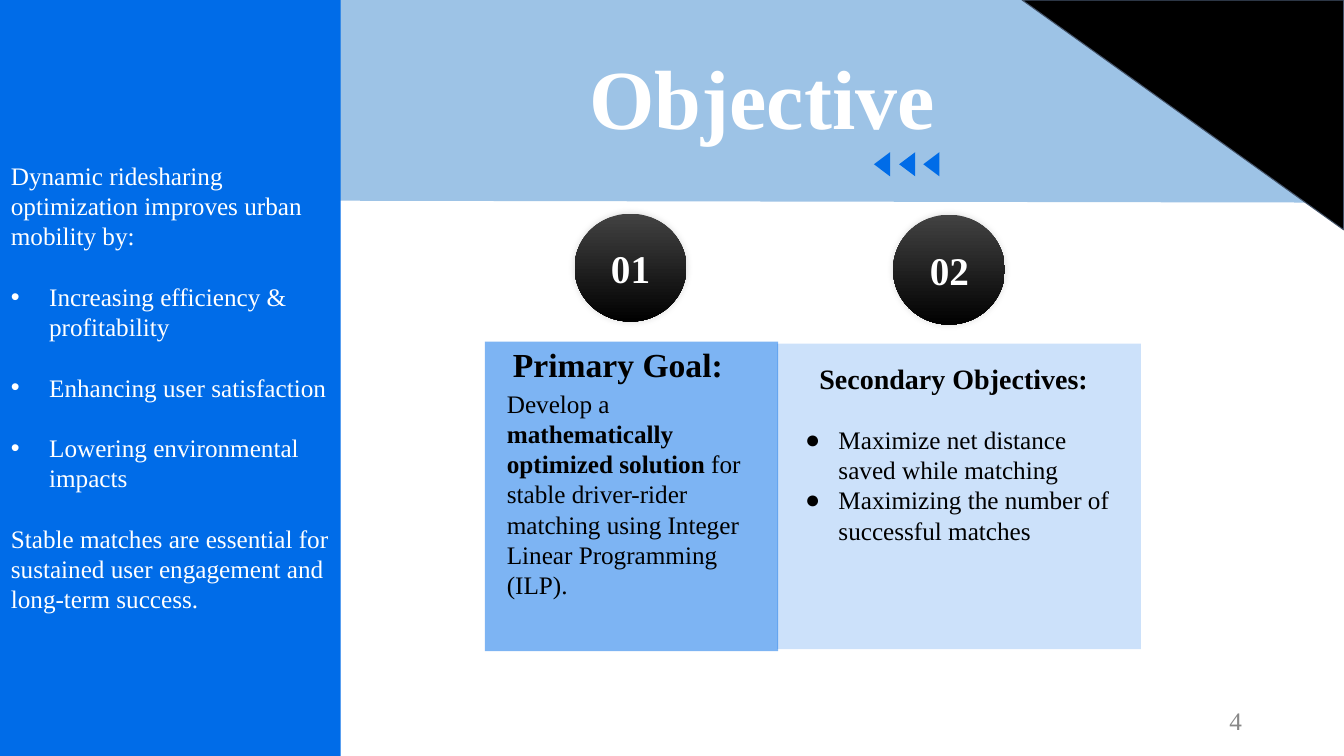
from lxml.etree import SubElement
from pptx import Presentation
from pptx.dml.color import RGBColor
from pptx.enum.shapes import MSO_SHAPE
from pptx.enum.text import MSO_ANCHOR, PP_ALIGN
from pptx.oxml import parse_xml
from pptx.oxml.ns import nsdecls, qn
from pptx.util import Pt

PX = 9144
FONT = "Times New Roman"
HUES = {
    "blue": "006CE8", "sky": "9DC3E6", "black": "000000", "white": "FFFFFF",
    "slate": "44546A", "gray": "888888", "coal": "424242", "ink": "010101",
}


def paint(shape, hue, alpha=100):
    shape.shadow.inherit = False
    shape.fill.solid()
    shape.fill.fore_color.rgb = RGBColor.from_string(HUES[hue])
    shape.line.fill.background()
    if alpha < 100:
        color = shape.fill._xPr.find(qn("a:solidFill"))[0]
        SubElement(color, qn("a:alpha"), val=str(alpha * 1000))


def write(shape, area, paras, size, hue, align=PP_ALIGN.LEFT, anchor=MSO_ANCHOR.TOP):
    shape.left, shape.top, shape.width, shape.height = [n * PX for n in area]
    frame = shape.text_frame
    frame.word_wrap = True
    frame.vertical_anchor = anchor
    for i, (mark, left, hang, gap, runs) in enumerate(paras):
        para = frame.paragraphs[0] if i == 0 else frame.add_paragraph()
        para.alignment = align
        para.space_before = Pt(gap)
        props = para._p.get_or_add_pPr()
        props.set("marL", str(left * PX))
        props.set("indent", str(-hang * PX))
        if mark:
            tint = SubElement(props, qn("a:buClr"))
            SubElement(tint, qn("a:srgbClr"), val=HUES[hue])
            SubElement(props, qn("a:buFont"), typeface="Arial")
            SubElement(props, qn("a:buChar"), char=mark)
        else:
            SubElement(props, qn("a:buNone"))
        for text, bold in runs:
            run = para.add_run()
            run.text = text
            run.font.name = FONT
            run.font.size = Pt(size)
            run.font.bold = bold
            run.font.color.rgb = RGBColor.from_string(HUES[hue])


deck = Presentation()
deck.slide_width, deck.slide_height = 12192000, 6858000
slide = deck.slides.add_slide(deck.slide_layouts[5])
shapes = slide.shapes

pen = shapes.build_freeform(261, 0, scale=PX)
pen.add_line_segments([(1333, 0), (1333, 201), (261, 199)])
paint(pen.convert_to_shape(), "sky")

panels = [
    (771, 341, 361, 303, 20),
    (481, 339, 291, 307, 51),
    (0, 0, 338, 750, 100),
]
for *area, alpha in panels:
    panel = shapes.add_shape(MSO_SHAPE.RECTANGLE, *[n * PX for n in area])
    paint(panel, "blue", alpha)

corner = shapes.add_shape(MSO_SHAPE.RIGHT_TRIANGLE, 1014 * PX, 0, 319 * PX, 228 * PX)
corner.rotation = 180
paint(corner, "black")
corner.line.color.rgb = RGBColor.from_string(HUES["slate"])
corner.line.width = Pt(0.75)

title = shapes.title
shapes._spTree.append(title._element)
write(title, (575, 40, 367, 111), [(None, 0, 0, 0, [("Objective", True)])], 60, "white")

pen = shapes.build_freeform(883, 175, scale=PX)
for x in (867, 892, 916):
    pen.move_to(x + 16, 175)
    pen.add_line_segments([(x, 163), (x + 16, 151)])
paint(pen.convert_to_shape(), "blue")

badges = [
    ("01", (570, 212, 111, 107), (596, 239, 59, 54)),
    ("02", (886, 213, 111, 109), (900, 239, 84, 57)),
]
for label, ring, area in badges:
    disc = shapes.add_shape(MSO_SHAPE.OVAL, *[n * PX for n in ring])
    disc.line.fill.background()
    disc.fill.gradient()
    disc.fill.gradient_angle = 270
    for stop, hue in zip(disc.fill.gradient_stops, ("coal", "ink")):
        stop.color.rgb = RGBColor.from_string(HUES[hue])
    disc._element.spPr.append(parse_xml(
        f'<a:effectLst {nsdecls("a")}><a:outerShdw blurRad="63500" dist="0" algn="ctr">'
        f'<a:srgbClr val="{HUES["black"]}"><a:alpha val="14000"/></a:srgbClr>'
        '</a:outerShdw></a:effectLst>'))
    box = shapes.add_textbox(0, 0, PX, PX)
    write(box, area, [(None, 0, 0, 0, [(label, True)])], 28, "white",
          PP_ALIGN.CENTER, MSO_ANCHOR.MIDDLE)

GAP = 21.6
notes = [
    ((1, 154, 336, 465), 18, "white", [
        (None, 0, 0, 0, [("Dynamic ridesharing optimization improves urban mobility by:", False)]),
        ("•", 38, 38, GAP, [("Increasing efficiency & profitability", False)]),
        ("•", 38, 38, GAP, [("Enhancing user satisfaction", False)]),
        ("•", 38, 38, GAP, [("Lowering environmental impacts", False)]),
        (None, 0, 0, GAP, [("Stable matches are essential for sustained user engagement and long-term success.", False)]),
    ]),
    ((499, 336, 233, 84), 24, "black", [(None, 0, 0, 0, [("Primary Goal:", True)])]),
    ((493, 380, 292, 256), 18, "black", [(None, 0, 0, 0, [
        ("Develop a ", False),
        ("mathematically optimized solution", True),
        (" for stable driver-rider matching using Integer Linear Programming (ILP).", False),
    ])]),
    ((803, 354, 291, 77), 20, "black", [(None, 0, 0, 0, [("Secondary Objectives:", True)])]),
    ((772, 416, 341, 209), 18, "black", [
        ("●", 50, 33, 0, [("Maximize net distance saved while matching", False)]),
        ("●", 50, 33, 0, [("Maximizing the number of successful matches", False)]),
    ]),
]
for area, size, hue, paras in notes:
    write(shapes.add_textbox(0, 0, PX, PX), area, paras, size, hue)

write(shapes.add_textbox(0, 0, PX, PX), (942, 695, 300, 40),
      [(None, 0, 0, 0, [("4", False)])], 18, "gray", PP_ALIGN.RIGHT, MSO_ANCHOR.MIDDLE)

deck.save("out.pptx")
